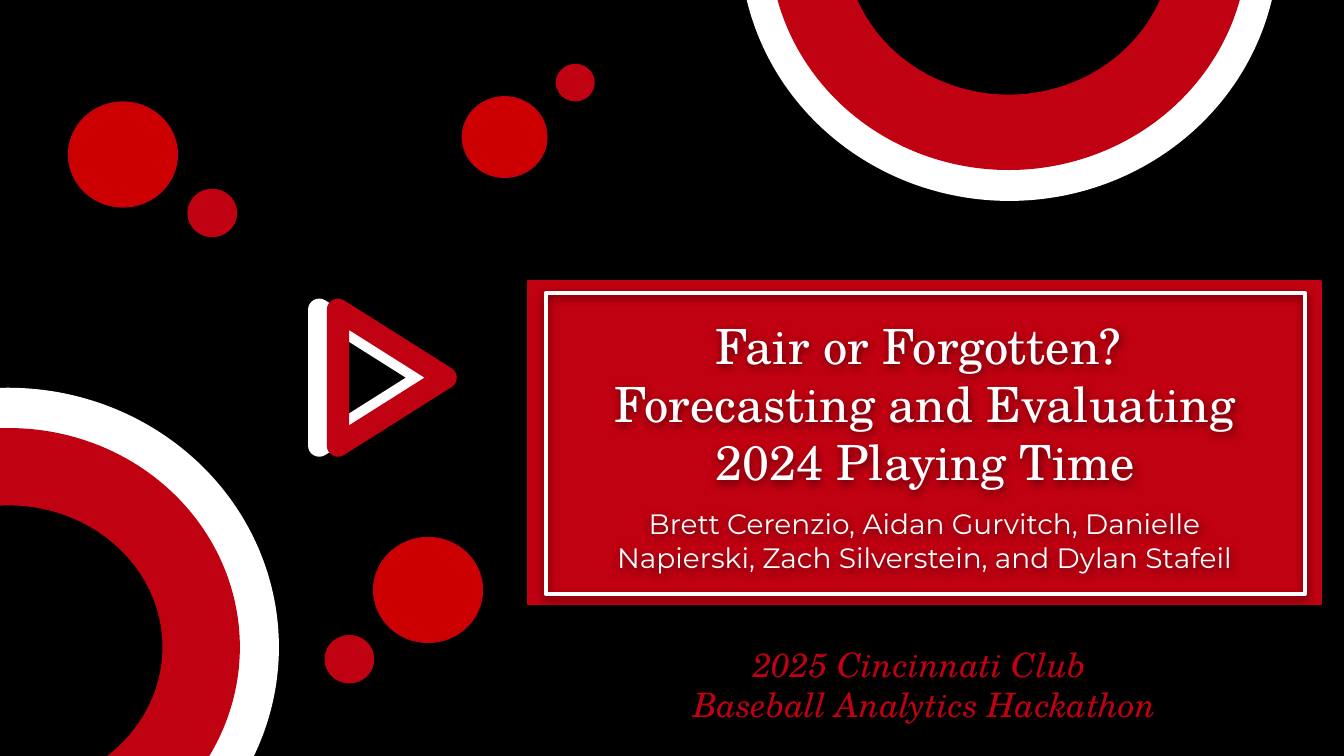
import pptx
import pptx.dml.color
import pptx.enum.shapes
import pptx.enum.text
import pptx.oxml
import pptx.oxml.ns
import pptx.util
from pptx.util import Inches

RGBColor = pptx.dml.color.RGBColor
SHAPE = pptx.enum.shapes.MSO_SHAPE
ANCHOR = pptx.enum.text.MSO_ANCHOR

BLACK = RGBColor(0x00, 0x00, 0x00)
WHITE = RGBColor(0xFF, 0xFF, 0xFF)
CRIMSON = RGBColor(0xBF, 0x01, 0x11)
RED = RGBColor(0xCC, 0x00, 0x00)
SERIF, SANS = "TeX Gyre Schola", "Montserrat"

# box (left, top, width, height), ring thickness, colour
RINGS = [
    ((-1.95, 2.89, 4.02, 3.85), 0.156, WHITE),
    ((-1.65, 3.19, 3.43, 3.25), 0.174, CRIMSON),
    ((5.51, -2.36, 4, 3.85), 0.156, WHITE),
    ((5.73, -2.14, 3.55, 3.4), 0.162, CRIMSON),
]
DOTS = [
    ((2.78, 4, 0.81, 0.78), RED),
    ((2.42, 4.73, 0.36, 0.35), CRIMSON),
    ((0.51, 0.76, 0.81, 0.78), RED),
    ((1.4, 1.41, 0.36, 0.35), CRIMSON),
    ((3.44, 0.72, 0.63, 0.6), RED),
    ((4.14, 0.48, 0.28, 0.27), CRIMSON),
]
PLAY_ICONS = [(2.27, WHITE), (2.41, CRIMSON)]  # left edge, outline
PANEL = (3.93, 2.09, 5.9, 2.41)
FRAME = (4.06, 2.18, 5.65, 2.24)

TITLE = ["Fair or Forgotten? ", "Forecasting and Evaluating 2024 Playing Time"]
AUTHORS = ["Brett Cerenzio, Aidan Gurvitch, Danielle Napierski, "
           "Zach Silverstein, and Dylan Stafeil"]
EVENT = ["2025 Cincinnati Club ", "Baseball Analytics Hackathon"]


def add_soft_shadow(sp):
    ns = pptx.oxml.ns.nsdecls("a")
    spPr = sp._element.spPr
    for old in spPr.findall(pptx.oxml.ns.qn("a:effectLst")):
        spPr.remove(old)
    spPr.append(pptx.oxml.parse_xml(
        f'<a:effectLst {ns}><a:outerShdw blurRad="57150" dist="19050" dir="5400000" '
        'algn="bl" rotWithShape="0"><a:srgbClr val="000000"><a:alpha val="50000"/>'
        '</a:srgbClr></a:outerShdw></a:effectLst>'))


def add_shape(s, kind, box, fill, line, width=0.75):
    sp = s.shapes.add_shape(kind, *map(Inches, box))
    sp.shadow.inherit = False
    if fill is None:
        sp.fill.background()
    else:
        sp.fill.solid()
        sp.fill.fore_color.rgb = fill
    sp.line.color.rgb = line
    sp.line.width = pptx.util.Pt(width)
    sp.line._get_or_add_ln().append(
        pptx.oxml.parse_xml(f'<a:round {pptx.oxml.ns.nsdecls("a")}/>'))
    return sp


def add_text(s, box, lines, size, font, color, italic=False, anchor=ANCHOR.TOP):
    sp = s.shapes.add_textbox(*map(Inches, box))
    tf = sp.text_frame
    tf.word_wrap = True
    tf.vertical_anchor = anchor
    tf.margin_left = tf.margin_right = tf.margin_top = tf.margin_bottom = Inches(0.1)
    for i, line in enumerate(lines):
        p = tf.add_paragraph() if i else tf.paragraphs[0]
        p.alignment = pptx.enum.text.PP_ALIGN.CENTER
        r = p.add_run()
        r.text = line
        r.font.size = pptx.util.Pt(size)
        r.font.name = font
        r.font.italic = italic
        r.font.color.rgb = color
    return sp


def main():
    prs = pptx.Presentation()
    prs.slide_width = Inches(10)
    prs.slide_height = prs.slide_width * 9 // 16
    s = prs.slides.add_slide(prs.slide_layouts[6])
    s.background.fill.solid()
    s.background.fill.fore_color.rgb = BLACK

    for box, thickness, color in RINGS:
        ring = add_shape(s, SHAPE.DONUT, box, color, color)
        ring.adjustments[0] = thickness

    add_soft_shadow(add_shape(s, SHAPE.RECTANGLE, PANEL, CRIMSON, CRIMSON))
    add_soft_shadow(add_shape(s, SHAPE.RECTANGLE, FRAME, None, WHITE, 2.25))
    add_soft_shadow(add_text(s, (4.18, 2.25, 5.41, 1.43), TITLE, 26, SERIF, WHITE))
    add_soft_shadow(add_text(s, (4.26, 3.67, 5.24, 0.53), AUTHORS, 15, SANS, WHITE))

    for box, color in DOTS:
        add_shape(s, SHAPE.OVAL, box, color, CRIMSON)

    for left, color in PLAY_ICONS:
        icon = add_shape(s, SHAPE.ISOSCELES_TRIANGLE, (left, 2.41, 1.01, 0.8), None, color, 12)
        icon.rotation = 90

    add_text(s, (4.73, 4.78, 4.3, 0.62), EVENT, 18, SERIF, CRIMSON, True, ANCHOR.MIDDLE)
    prs.save("out.pptx")


if __name__ == "__main__":
    main()
